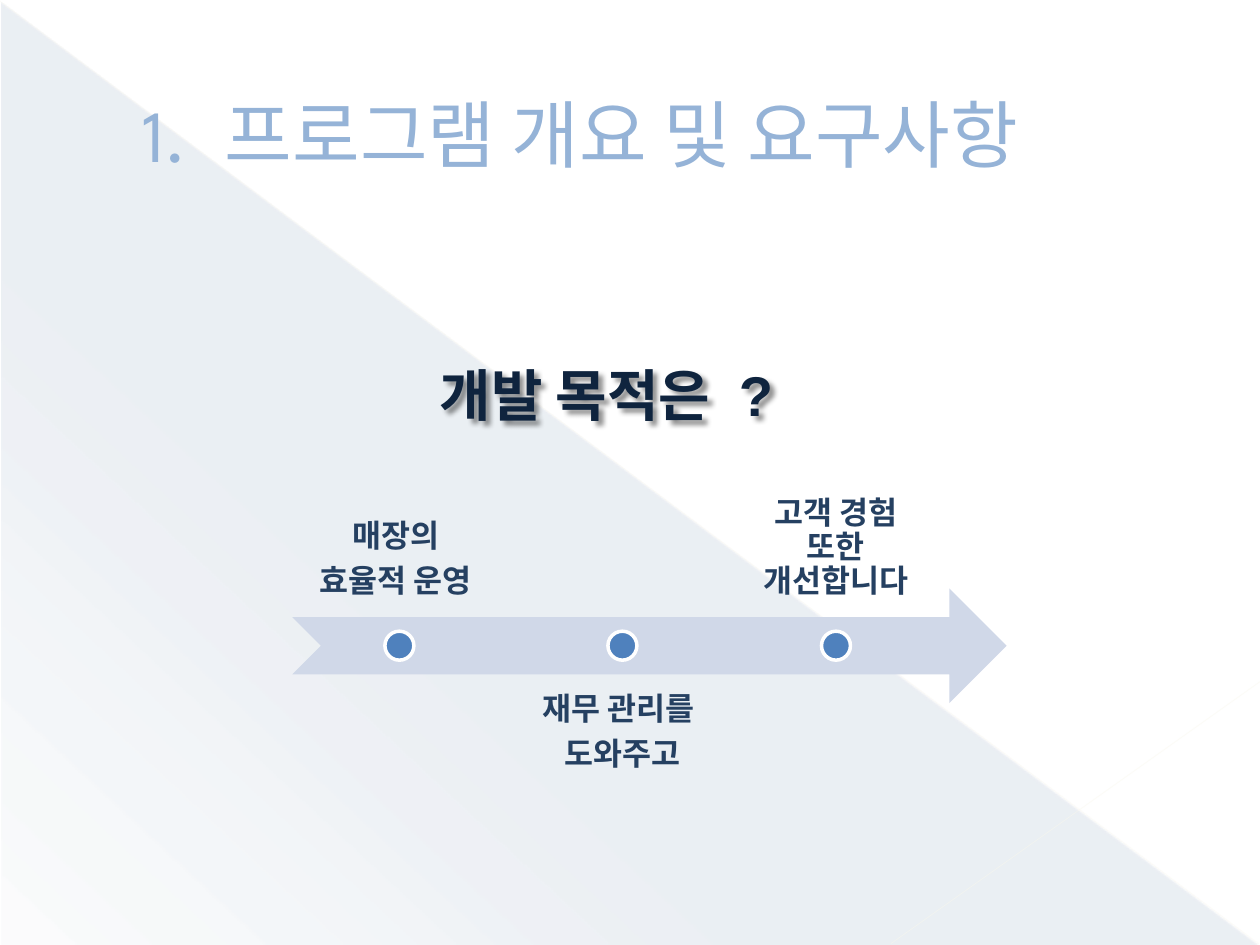
import pptx
import pptx.util
import pptx.dml.color
import pptx.enum.shapes
import pptx.enum.text
import pptx.oxml
import pptx.oxml.ns
from pptx.util import Inches

SHAPE = pptx.enum.shapes.MSO_SHAPE
ANCHOR = pptx.enum.text.MSO_ANCHOR
ALIGN = pptx.enum.text.PP_ALIGN
NS = pptx.oxml.ns.nsdecls("a")

COLORS = {
    "navy": "1F497D", "cream": "F9F7EC", "ivory": "FAF8EE", "title": "95B3D7",
    "arrow": "D0D8E8", "dot": "4F81BD", "label": "254061",
    "question": "0F243E", "white": "FFFFFF", "black": "000000",
}
FONT = "League Spartan"

# Runs: text, extra letter spacing in points
TITLE = [("1.", 0), (" ", 11), ("프로그램 개요 및 요구사항", 0)]
QUESTION = [("개발 목적은", 0), (" ", 9), ("?", 0)]

# Diagonals: start, end, colour, width, opacity %
DIAGONALS = [
    ((0, 0.01), (9.99, 7.49), "cream", 0.39, 35),
    ((10, 5.41), (7.07, 7.49), "ivory", 0.47, 45),
]
# Gradient stops: position %, opacity %
BACK_STOPS = [(0, 10), (70, 8), (100, 1)]

# Goals: lines, left of label, width of label, above the arrow
GOALS = [
    (["매장의 ", "효율적 운영 "], 2.32, 1.7, True),
    (["재무 관리를 ", "도와주고"], 4.09, 1.7, False),
    (["고객 경험 또한 개선합니다"], 5.85, 1.57, True),
]
LABEL_H, LABEL_INSET, DOT = 0.91, 0.14, 0.23
ABOVE_TOP, BELOW_TOP, DOT_TOP = 3.99, 5.36, 5.01


def rgb(name):
    return pptx.dml.color.RGBColor.from_string(COLORS[name])


def add_preset(kind, x, y, w, h, fill=None):
    s = slide.shapes.add_shape(kind, Inches(x), Inches(y), Inches(w), Inches(h))
    s.shadow.inherit = False
    s.line.fill.background()
    if fill:
        s.fill.solid()
        s.fill.fore_color.rgb = rgb(fill)
    return s


def add_text(x, y, w, h, paragraphs, size, color, font=FONT, bold=False,
             anchor=ANCHOR.TOP, align=ALIGN.LEFT):
    s = slide.shapes.add_textbox(Inches(x), Inches(y), Inches(w), Inches(h))
    tf = s.text_frame
    tf.word_wrap = True
    tf.vertical_anchor = anchor
    for i, runs in enumerate(paragraphs):
        p = tf.paragraphs[0] if i == 0 else tf.add_paragraph()
        p.alignment = align
        p.font.size, p.font.name, p.font.bold = pptx.util.Pt(size), font, bold
        p.font.color.rgb = rgb(color)
        for text, spacing in runs:
            r = p.add_run()
            r.text = text
            if spacing:
                r.font._element.set("spc", str(spacing * 100))
    return s


prs = pptx.Presentation()
prs.slide_width, prs.slide_height = Inches(10), Inches(7.5)
slide = prs.slides.add_slide(prs.slide_layouts[6])

# Background triangle with a fading fill
back = add_preset(SHAPE.RIGHT_TRIANGLE, 0.01, 0.02, 9.98, 7.48)
back.fill.background()
stops = "".join(
    f'<a:gs pos="{pos * 1000}"><a:srgbClr val="{COLORS["navy"]}">'
    f'<a:alpha val="{alpha * 1000}"/></a:srgbClr></a:gs>'
    for pos, alpha in BACK_STOPS)
spPr = back._element.spPr
no_fill = spPr.find(pptx.oxml.ns.qn("a:noFill"))
spPr.replace(no_fill, pptx.oxml.parse_xml(
    f'<a:gradFill {NS} rotWithShape="1"><a:gsLst>{stops}</a:gsLst>'
    f'<a:lin ang="{133 * 60000}" scaled="0"/></a:gradFill>'))

# Background diagonals
for start, end, color, width, alpha in DIAGONALS:
    line = slide.shapes.add_connector(
        pptx.enum.shapes.MSO_CONNECTOR.STRAIGHT, *map(Inches, start + end))
    line.line.color.rgb = rgb(color)
    line.line.width = pptx.util.Pt(width)
    spPr = line._element.spPr
    clr = next(spPr.iter(pptx.oxml.ns.qn("a:srgbClr")))
    clr.append(pptx.oxml.parse_xml(f'<a:alpha {NS} val="{alpha * 1000}"/>'))
    spPr.append(pptx.oxml.parse_xml(f"<a:effectLst {NS}/>"))

# Title
title = add_text(0.5, 0.29, 9, 1.53, [TITLE], 42, "title", anchor=ANCHOR.MIDDLE)
title.text_frame.margin_left = Inches(0.63)

# Arrow with its goals
add_preset(SHAPE.NOTCHED_RIGHT_ARROW, 2.32, 4.67, 5.67, 0.91, "arrow")
for lines, x, w, above in GOALS:
    label = add_text(x, ABOVE_TOP if above else BELOW_TOP, w, LABEL_H,
                     [[(text, 0)] for text in lines], 18, "label", bold=True,
                     anchor=ANCHOR.BOTTOM if above else ANCHOR.TOP,
                     align=ALIGN.CENTER)
    tf = label.text_frame
    tf.margin_left = tf.margin_right = Inches(LABEL_INSET)
    tf.margin_top = tf.margin_bottom = Inches(LABEL_INSET)
    for p in tf.paragraphs:
        p.line_spacing = 0.9
        p.space_after = pptx.util.Pt(6.3)
    dot = add_preset(SHAPE.OVAL, x + (w - DOT) / 2, DOT_TOP, DOT, DOT, "dot")
    dot.line.color.rgb = rgb("white")
    dot.line.width = pptx.util.Pt(2)

# Question with a soft shadow
question = add_text(3.27, 2.81, 3.25, 0.64, [QUESTION], 32, "question",
                    font="Arial", bold=True)
question.text_frame.margin_left = Inches(0.22)
question._element.spPr.append(pptx.oxml.parse_xml(
    f'<a:effectLst {NS}><a:outerShdw blurRad="38100" dist="38100" dir="2700000">'
    f'<a:srgbClr val="{COLORS["black"]}"><a:alpha val="43000"/></a:srgbClr>'
    '</a:outerShdw></a:effectLst>'))

prs.save("out.pptx")
